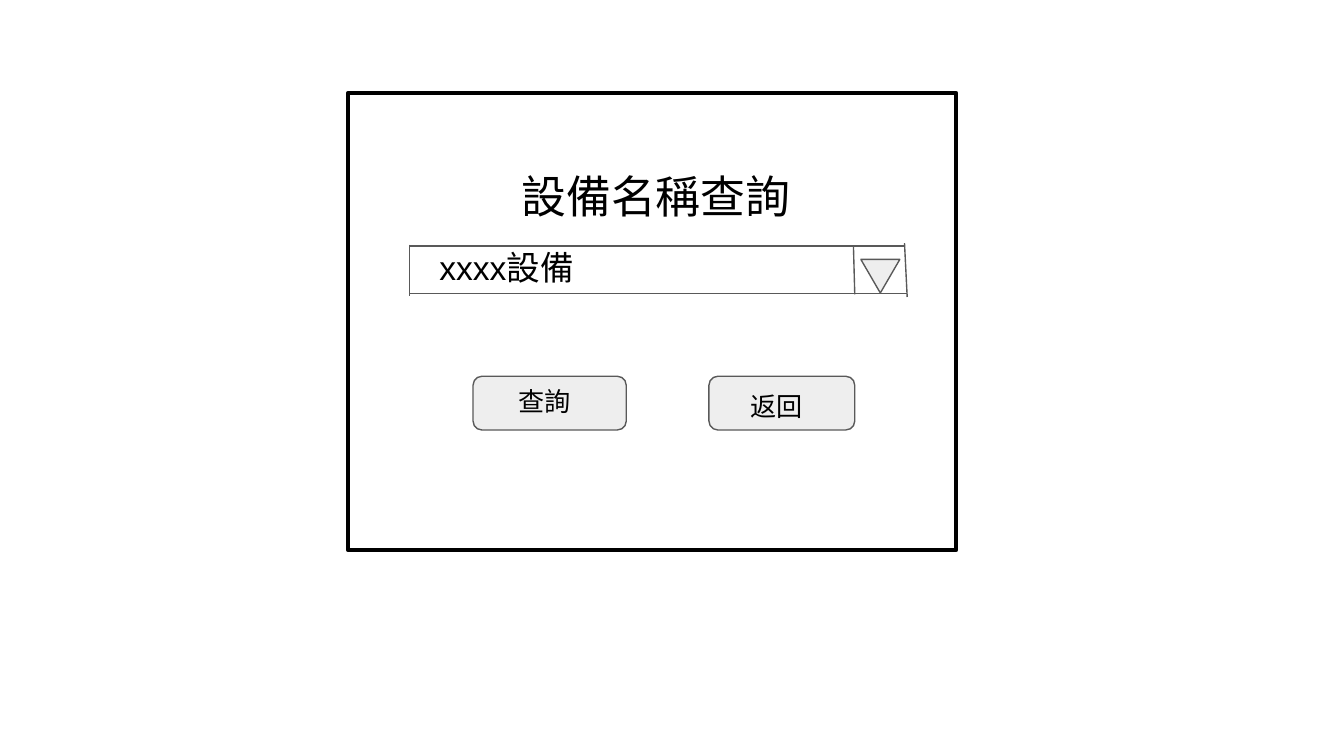
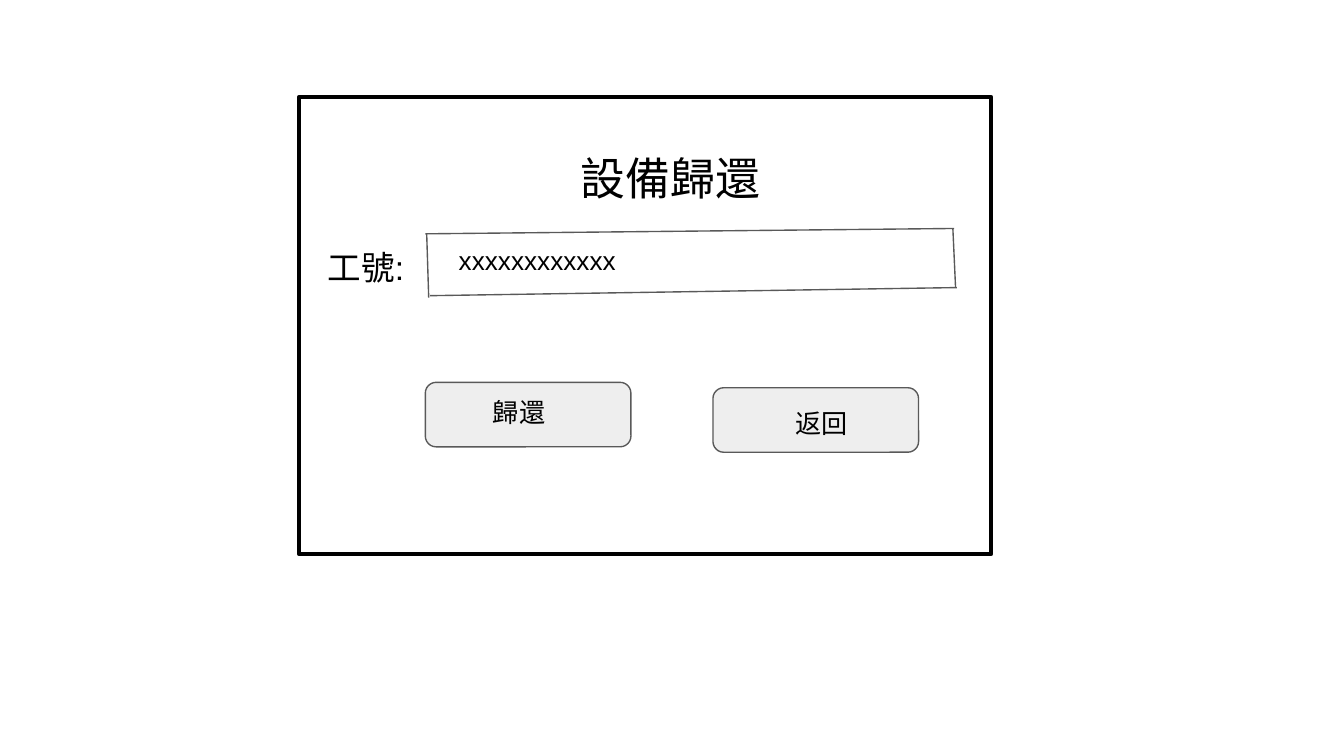
from pptx import Presentation
from pptx.dml.color import RGBColor
from pptx.enum.shapes import MSO_CONNECTOR, MSO_SHAPE
from pptx.enum.text import MSO_ANCHOR, MSO_AUTO_SIZE, PP_ALIGN
from pptx.oxml.ns import qn
from pptx.util import Pt
from lxml.etree import SubElement

PX = 4572  # 200 px to the inch
FONT = "Arial"
COLORS = {"ink": "000000", "edge": "595959", "key": "EEEEEE"}


def write(box, text, size, align=PP_ALIGN.LEFT):
    frame = box.text_frame
    frame.text = text
    frame.word_wrap = True
    frame.auto_size = MSO_AUTO_SIZE.NONE
    frame.vertical_anchor = MSO_ANCHOR.TOP
    frame.margin_left = frame.margin_right = 20 * PX
    frame.margin_top = frame.margin_bottom = 20 * PX
    para = frame.paragraphs[0]
    para.alignment = align
    font = para.runs[0].font
    font.name, font.size = FONT, Pt(size)
    font.color.rgb = RGBColor.from_string(COLORS["ink"])


def draw(slide, kind, spot, fill, edge, width):
    shape = slide.shapes.add_shape(kind, *[n * PX for n in spot])
    shape.shadow.inherit = False
    if fill:
        shape.fill.solid()
        shape.fill.fore_color.rgb = RGBColor.from_string(COLORS[fill])
    else:
        shape.fill.background()
    shape.line.color.rgb = RGBColor.from_string(COLORS[edge])
    shape.line.width = Pt(width)


# Screens: spots are left, top, width, height; lines are x1, y1, x2, y2
screens = [
    {
        "title": ("設備名稱查詢", (632, 231, 688, 166), PP_ALIGN.CENTER),
        "lines": [(609, 364, 609, 440), (609, 366, 1346, 366),
                  (1346, 362, 1350, 442), (610, 437, 1350, 437),
                  (1270, 366, 1272, 438)],
        "arrow": (1281, 386, 58, 50),
        "keys": [(704, 560, 228, 80), (1055, 560, 217, 80)],
        "texts": [("xxxx設備", 18, (634, 348, 610, 38)),
                  ("查詢", 14, (752, 554, 180, 50)),
                  ("返回", 14, (1097, 561, 164, 50))],
        "frame": (518, 138, 905, 681),
    },
    {
        "title": ("設備歸還", (844, 204, 866, 204), PP_ALIGN.LEFT),
        "lines": [(635, 348, 638, 443), (633, 348, 1420, 340),
                  (640, 440, 1424, 428), (1418, 340, 1422, 428)],
        "arrow": None,
        "keys": [(633, 569, 306, 96), (1061, 577, 306, 96)],
        "texts": [("工號:", 18, (468, 348, 208, 96)),
                  ("xxxxxxxxxxxx", 14, (663, 348, 728, 32)),
                  ("歸還", 14, (714, 570, 266, 64)),
                  ("返回", 14, (1164, 586, 230, 64))],
        "frame": (445, 144, 1030, 681),
    },
]

deck = Presentation()
deck.slide_width, deck.slide_height = 2000 * PX, 1125 * PX

for screen in screens:
    slide = deck.slides.add_slide(deck.slide_layouts[5])

    # Title
    text, spot, align = screen["title"]
    title = slide.shapes.title
    title.left, title.top, title.width, title.height = [n * PX for n in spot]
    write(title, text, 24, align)

    # Input field
    for ends in screen["lines"]:
        line = slide.shapes.add_connector(
            MSO_CONNECTOR.STRAIGHT, *[n * PX for n in ends])
        line.line.color.rgb = RGBColor.from_string(COLORS["edge"])
        line.line.width = Pt(0.75)
        SubElement(line._element.spPr, qn("a:effectLst"))
    if screen["arrow"]:
        draw(slide, MSO_SHAPE.FLOWCHART_MERGE, screen["arrow"],
             "key", "edge", 0.75)

    # Buttons
    for spot in screen["keys"]:
        draw(slide, MSO_SHAPE.ROUNDED_RECTANGLE, spot, "key", "edge", 0.75)

    # Labels
    for text, size, spot in screen["texts"]:
        write(slide.shapes.add_textbox(*[n * PX for n in spot]), text, size)

    # Window frame
    draw(slide, MSO_SHAPE.RECTANGLE, screen["frame"], None, "ink", 2)

deck.save("out.pptx")
